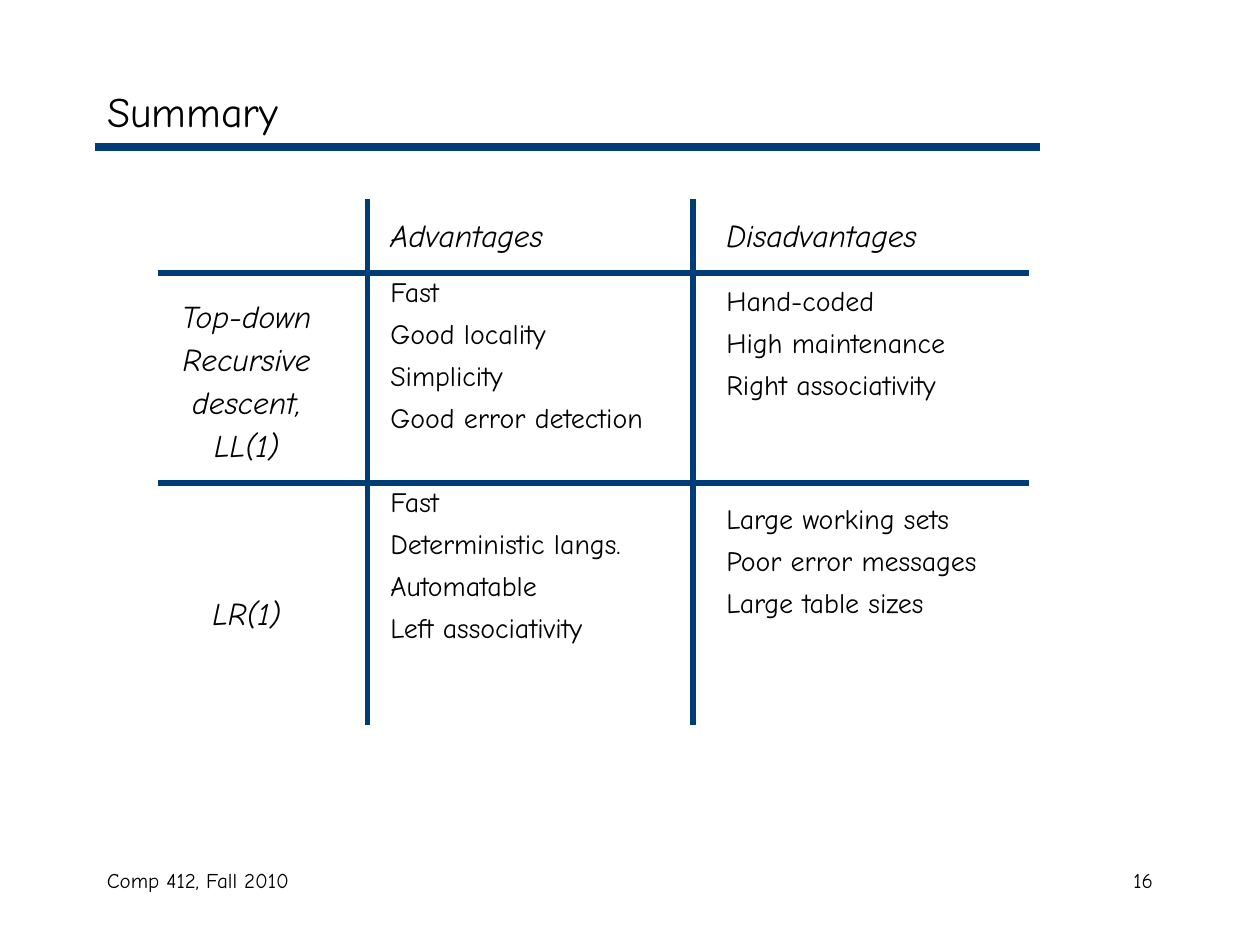
from pptx import Presentation
from pptx.dml.color import RGBColor
from pptx.enum.shapes import MSO_CONNECTOR
from pptx.enum.text import MSO_ANCHOR, PP_ALIGN
from pptx.oxml.ns import qn
from pptx.util import Pt

LEFT, CENTER, RIGHT = PP_ALIGN.LEFT, PP_ALIGN.CENTER, PP_ALIGN.RIGHT
MIDDLE = MSO_ANCHOR.MIDDLE
STRAIGHT = MSO_CONNECTOR.STRAIGHT
FONT, INK, NAVY = "Comic Neue", "000000", "003C75"
LINE_GAP = 4.8


def rgb(color):
    return RGBColor.from_string(color)


def write(p, text, size=16, italic=False, align=LEFT, before=0):
    p.alignment = align
    p.space_before = Pt(before)
    r = p.add_run()
    r.text = text
    r.font.name, r.font.size, r.font.italic = FONT, Pt(size), italic
    r.font.color.rgb = rgb(INK)


def text_box(s, x, y, w, h, lines):
    tf = s.shapes.add_textbox(Pt(x), Pt(y), Pt(w), Pt(h)).text_frame
    tf.word_wrap = True
    for i, (text, style) in enumerate(lines):
        p = tf.add_paragraph() if i else tf.paragraphs[0]
        write(p, text, **style)


def rule(s, x1, y1, x2, y2, width=3):
    line = s.shapes.add_connector(STRAIGHT, Pt(x1), Pt(y1), Pt(x2), Pt(y2))
    line.line.color.rgb = rgb(NAVY)
    line.line.width = Pt(width)
    sp_pr = line._element.spPr
    sp_pr.append(sp_pr.makeelement(qn("a:effectLst"), {}))


def heading(s, x, y, w, h, text):
    title = s.shapes.title
    title.left, title.top, title.width, title.height = Pt(x), Pt(y), Pt(w), Pt(h)
    tf = title.text_frame
    tf.vertical_anchor = MIDDLE
    write(tf.paragraphs[0], text, size=24)
    rule(s, x, y + h, x + 540, y + h, 4.5)


def footer(s, x, y, w, h, course, number):
    text_box(s, x, y, 228, h, [(course, dict(size=12))])
    text_box(s, x + w - 150, y, 150, h, [(number, dict(size=12, align=RIGHT))])


def column(s, x, y, w, h, head, groups):
    lines = [(head, dict(size=18, italic=True))]
    for first_gap, items in groups:
        for i, item in enumerate(items):
            lines.append((item, dict(before=LINE_GAP if i else first_gap)))
    text_box(s, x, y, w, h, lines)


def row_label(s, x, y, w, h, words):
    text_box(s, x, y, w, h, [
        (word, dict(size=18, italic=True, align=CENTER, before=3 if i else 0))
        for i, word in enumerate(words)])


def comparison(s, x, y, w, h):
    column(s, x + 126, y + 6, 186, 263, "Advantages", [
        (12, ["Fast", "Good locality", "Simplicity", "Good error detection"]),
        (28.8, ["Fast", "Deterministic langs.", "Automatable", "Left associativity"]),
    ])
    column(s, x + 318, y + 6, 186, 246, "Disadvantages", [
        (16.8, ["Hand-coded", "High maintenance", "Right associativity"]),
        (57.6, ["Large working sets", "Poor error messages", "Large table sizes"]),
    ])
    row_label(s, x - 6, y + 52, 114, 104, ["Top-down", "Recursive", "descent,", "LL(1)"])
    row_label(s, x - 6, y + 222, 114, 29, ["LR(1)"])
    for dy in (42, 162):
        rule(s, x, y + dy, x + w, y + dy)
    for dx in (120, 306):
        rule(s, x + dx, y, x + dx, y + h)


def main():
    prs = Presentation()
    prs.slide_width, prs.slide_height = Pt(720), Pt(540)
    s = prs.slides.add_slide(prs.slide_layouts[5])
    heading(s, 54, 42, 612, 42, "Summary")
    comparison(s, 90, 114, 498, 300)
    footer(s, 54, 492, 612, 36, "Comp 412, Fall 2010", "16")
    prs.save("out.pptx")


if __name__ == "__main__":
    main()
